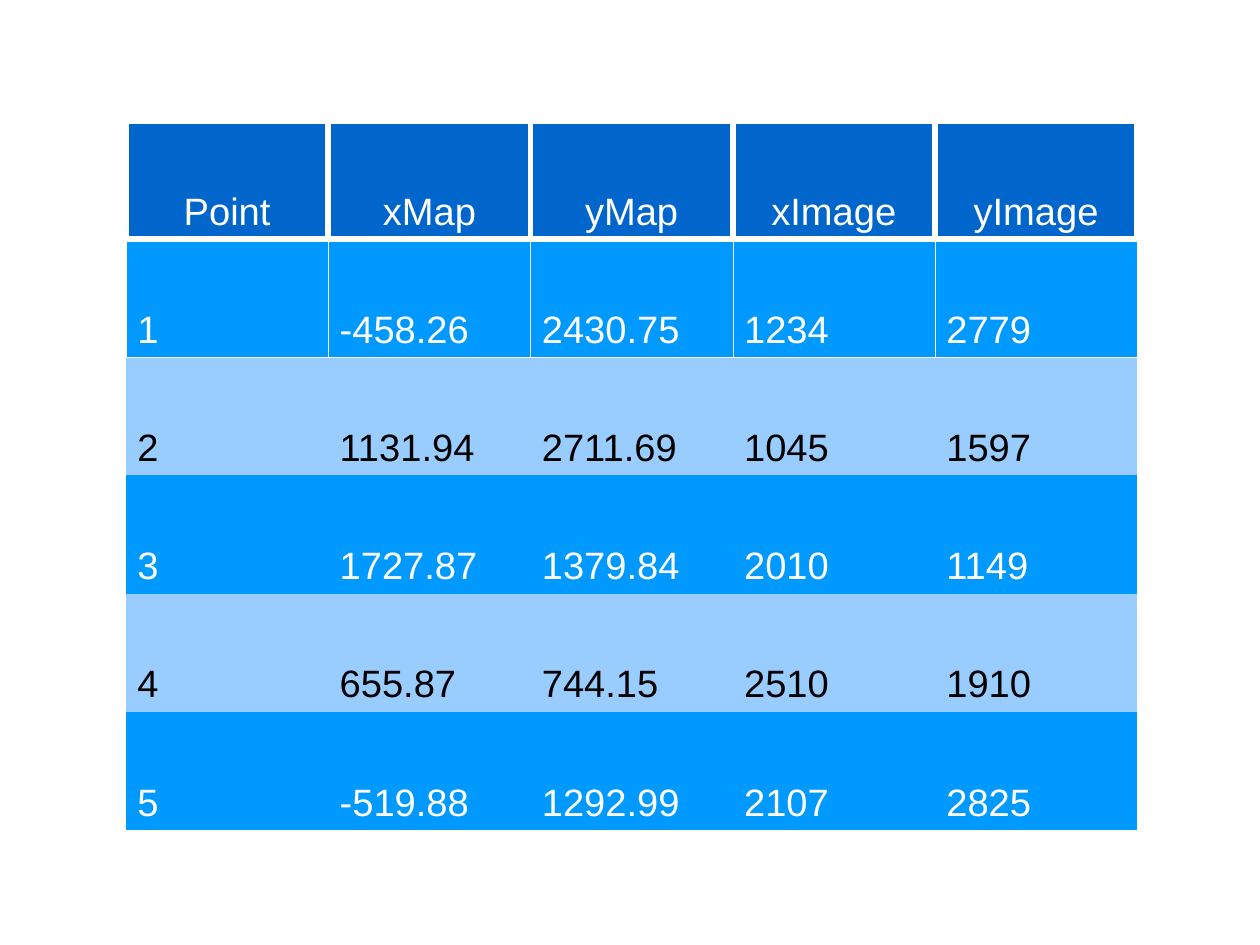
from lxml import etree
from pptx import Presentation
from pptx.dml.color import RGBColor
from pptx.enum.text import MSO_ANCHOR, PP_ALIGN
from pptx.oxml.ns import qn
from pptx.util import Cm, Pt

BOTTOM = MSO_ANCHOR.BOTTOM
CENTER = PP_ALIGN.CENTER
LEFT = PP_ALIGN.LEFT
PLAIN = "{2D5ABB26-0587-4C30-8999-92F81FD0307C}"
WHITE, BLACK = "FFFFFF", "000000"
NAVY, BLUE, PALE = "0066CC", "0099FF", "99CCFF"
THICK, THIN = Pt(4.03), Pt(0.06)
SIDES = ("lnL", "lnR", "lnT", "lnB")


def color(code):
    return RGBColor.from_string(code)


def border(cell, widths):
    props = cell._tc.get_or_add_tcPr()
    for spot, (side, width) in enumerate(zip(SIDES, widths)):
        line = etree.Element(qn(f"a:{side}"), w=str(width))
        fill = etree.SubElement(line, qn("a:solidFill"))
        etree.SubElement(fill, qn("a:srgbClr"), val=WHITE)
        props.insert(spot, line)


rows = [
    ("Point", "xMap", "yMap", "xImage", "yImage"),
    ("1", "-458.26", "2430.75", "1234", "2779"),
    ("2", "1131.94", "2711.69", "1045", "1597"),
    ("3", "1727.87", "1379.84", "2010", "1149"),
    ("4", "655.87", "744.15", "2510", "1910"),
    ("5", "-519.88", "1292.99", "2107", "2825"),
]
edges = {
    0: (THICK, THICK, THICK, THICK),
    1: (THIN, THIN, THICK, THIN),
}

deck = Presentation()
deck.slide_width, deck.slide_height = Cm(28), Cm(21)
slide = deck.slides.add_slide(deck.slide_layouts[6])

frame = slide.shapes.add_table(
    len(rows), len(rows[0]), Cm(2.8), Cm(2.69), Cm(22.47), Cm(15.75)
)
grid = frame.table
grid.first_row = False
grid.horz_banding = False
for style in frame.element.iter(qn("a:tableStyleId")):
    style.text = PLAIN

for r, row in enumerate(rows):
    if r == 0:
        back, ink, align = NAVY, WHITE, CENTER
    elif r % 2:
        back, ink, align = BLUE, WHITE, LEFT
    else:
        back, ink, align = PALE, BLACK, LEFT
    for c, text in enumerate(row):
        cell = grid.cell(r, c)
        cell.text = text
        cell.vertical_anchor = BOTTOM
        cell.fill.solid()
        cell.fill.fore_color.rgb = color(back)
        para = cell.text_frame.paragraphs[0]
        para.alignment = align
        font = para.runs[0].font
        for key, value in {"name": "Arial", "size": Pt(24), "bold": False}.items():
            setattr(font, key, value)
        font.color.rgb = color(ink)
        if r in edges:
            border(cell, edges[r])

deck.save("out.pptx")
